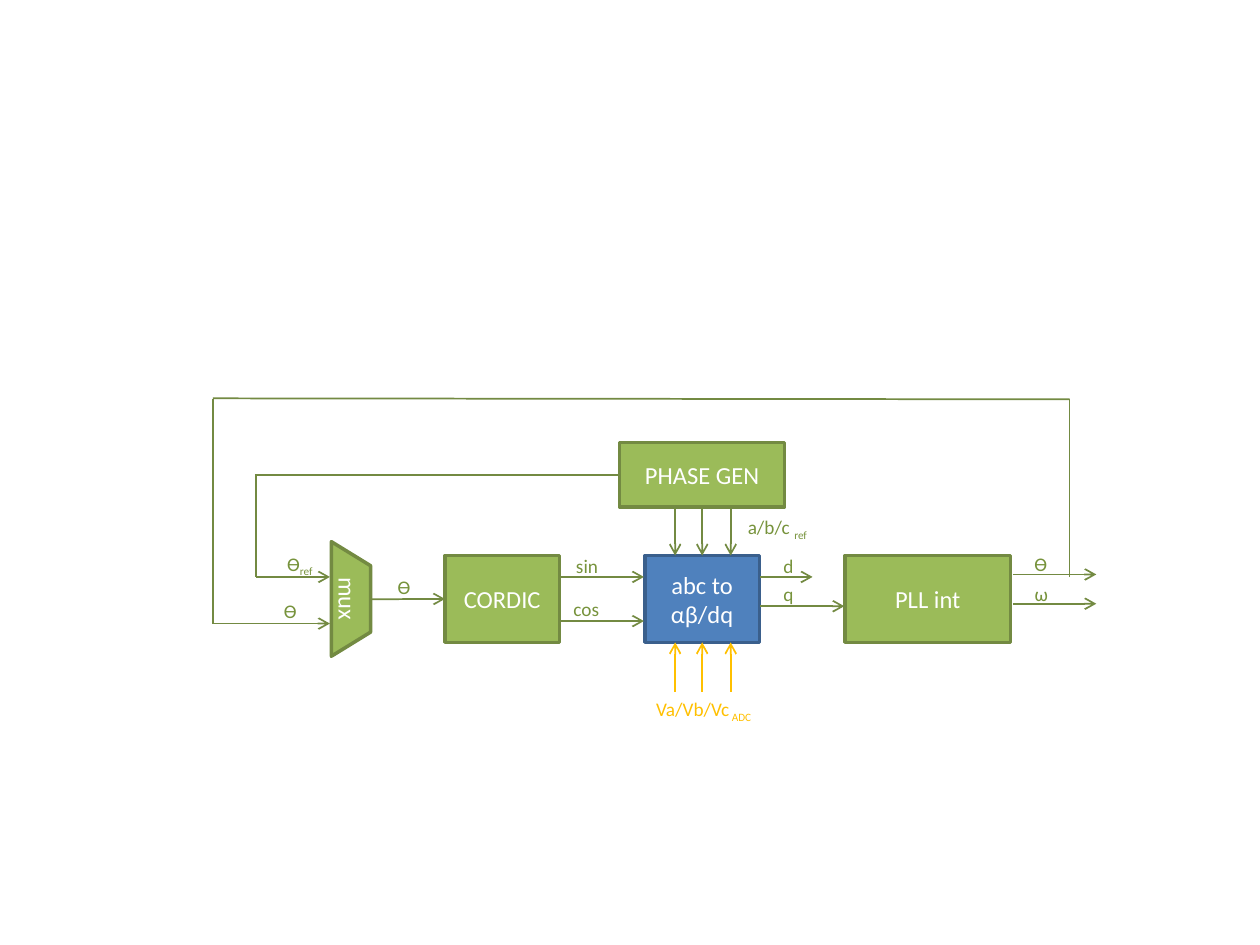
from lxml.etree import SubElement
from pptx import Presentation
from pptx.dml.color import RGBColor
from pptx.enum.shapes import MSO_CONNECTOR as Connector, MSO_SHAPE as Shape
from pptx.enum.text import MSO_ANCHOR as Anchor, MSO_AUTO_SIZE as AutoSize, PP_ALIGN as Align
from pptx.oxml.ns import qn
from pptx.util import Cm, Pt

COLORS = {
    "green": "9BBB59", "green_edge": "738A42", "green_text": "77933C",
    "blue": "4F81BD", "blue_edge": "3A5F8C",
    "amber": "FFC000", "white": "FFFFFF",
}
BLOCK_TOP, BLOCK_HEIGHT = 11.2, 1.75
BLOCK_BOTTOM = BLOCK_TOP + BLOCK_HEIGHT
PHASE_BOTTOM = 10.22
TOP, LEFT, BOTTOM = 0, 1, 2


def rgb(name):
    return RGBColor.from_string(COLORS[name])


def add_text(para, text, size=11, color="green_text", subscript=False):
    """Add text to a paragraph; newlines become line breaks."""
    for index, line in enumerate(text.split("\n")):
        if index:
            para.add_line_break()
        span = para.add_run()
        span.text = line
        span.font.name = "Calibri"
        span.font.size = Pt(size)
        span.font.color.rgb = rgb(color)
        if subscript:
            span.font._element.set("baseline", "-25000")


def add_block(page, text, left, top, width, height, color="green", shape=Shape.RECTANGLE):
    block = page.shapes.add_shape(shape, Cm(left), Cm(top), Cm(width), Cm(height))
    block.shadow.inherit = False
    block.fill.solid()
    block.fill.fore_color.rgb = rgb(color)
    block.line.color.rgb = rgb(color + "_edge")
    block.line.width = Pt(2)
    frame = block.text_frame
    frame.word_wrap = True
    frame.vertical_anchor = Anchor.MIDDLE
    para = frame.paragraphs[0]
    para.alignment = Align.CENTER
    add_text(para, text, size=14, color="white")
    return block


def add_label(page, text, left, top, width, sub="", color="green_text", wrap=False):
    box = page.shapes.add_textbox(Cm(left), Cm(top), Cm(width), Cm(0.74))
    frame = box.text_frame
    frame.word_wrap = wrap
    frame.auto_size = AutoSize.SHAPE_TO_FIT_TEXT
    para = frame.paragraphs[0]
    para.alignment = Align.CENTER
    add_text(para, text, color=color)
    if sub:
        add_text(para, sub, color=color, subscript=True)


def add_wire(page, start, end, color="green_edge", arrow=True, source=None, target=None):
    """Draw a wire; source and target are (block, side) pairs to join."""
    wire = page.shapes.add_connector(
        Connector.STRAIGHT, Cm(start[0]), Cm(start[1]), Cm(end[0]), Cm(end[1]))
    wire.line.color.rgb = rgb(color)
    wire.line.width = Pt(1)
    if arrow:
        SubElement(wire.line._get_or_add_ln(), qn("a:tailEnd"), type="arrow")
    SubElement(wire._element.spPr, qn("a:effectLst"))
    if source:
        wire.begin_connect(*source)
    if target:
        wire.end_connect(*target)


def main():
    deck = Presentation()
    deck.slide_width, deck.slide_height = Cm(25.4), Cm(19.05)
    page = deck.slides.add_slide(deck.slide_layouts[6])

    # Blocks
    mux = add_block(page, "mux", 5.92, 11.68, 2.31, 0.79, shape=Shape.TRAPEZOID)
    mux.rotation = 90
    mux.adjustments[0] = 0.614
    cordic = add_block(page, "CORDIC", 8.97, BLOCK_TOP, 2.31, BLOCK_HEIGHT)
    transform = add_block(page, "abc to\nαβ/dq", 13, BLOCK_TOP, 2.31, BLOCK_HEIGHT, color="blue")
    add_block(page, "PLL int", 17.04, BLOCK_TOP, 3.33, BLOCK_HEIGHT)
    phase = add_block(page, "PHASE GEN", 12.49, 8.92, 3.33, 1.3)

    # Horizontal signals: start, end, height
    for start, end, y in [
        (4.29, 6.65, 12.57), (5.16, 6.65, 11.63),
        (11.28, 12.98, 11.63), (11.28, 12.98, 12.52),
        (15.32, 16.38, 11.63), (15.32, 17.02, 12.22),
        (20.42, 22.1, 11.58), (20.42, 22.1, 12.17),
    ]:
        add_wire(page, (start, y), (end, y))
    add_wire(page, (7.47, 12.08), (8.97, 12.08), target=(cordic, LEFT))

    # Three phases into the transform, from above and from below
    for x in (13.61, 14.155, 14.73):
        middle = x == 14.155
        add_wire(page, (x, PHASE_BOTTOM), (x, BLOCK_TOP),
                 source=(phase, BOTTOM) if middle else None,
                 target=(transform, TOP) if middle else None)
        add_wire(page, (x, 13.94), (x, BLOCK_BOTTOM), color="amber",
                 target=(transform, BOTTOM) if middle else None)

    # Feedback loop and phase reference
    add_wire(page, (4.29, 12.57), (4.29, 8.05), arrow=False)
    add_wire(page, (21.56, 8.05), (4.29, 8.03), arrow=False)
    add_wire(page, (21.56, 11.63), (21.56, 8.05), arrow=False)
    add_wire(page, (5.16, 11.63), (5.16, 9.57), arrow=False)
    add_wire(page, (5.14, 9.57), (12.49, 9.57), arrow=False, target=(phase, LEFT))

    # Signal names: text, left, top, width
    for text, left, top, width in [
        ("ϴ", 5.46, 11.96, 0.79), ("ϴ", 7.75, 11.48, 0.79),
        ("sin", 11.35, 11.05, 0.97), ("cos", 11.3, 11.91, 1.04),
        ("d", 15.54, 11.05, 0.71), ("q", 15.54, 11.61, 0.71),
        ("ϴ", 20.6, 11, 0.76), ("ω", 20.6, 11.61, 0.79),
    ]:
        add_label(page, text, left, top, width)
    add_label(page, "ϴ", 5.51, 11, 1.07, sub="ref")
    add_label(page, "a/b/c ", 14.63, 10.26, 2.08, sub="ref", wrap=True)
    add_label(page, "Va/Vb/Vc", 12.75, 13.94, 2.87, sub=" ADC", color="amber", wrap=True)

    deck.save("out.pptx")


if __name__ == "__main__":
    main()
